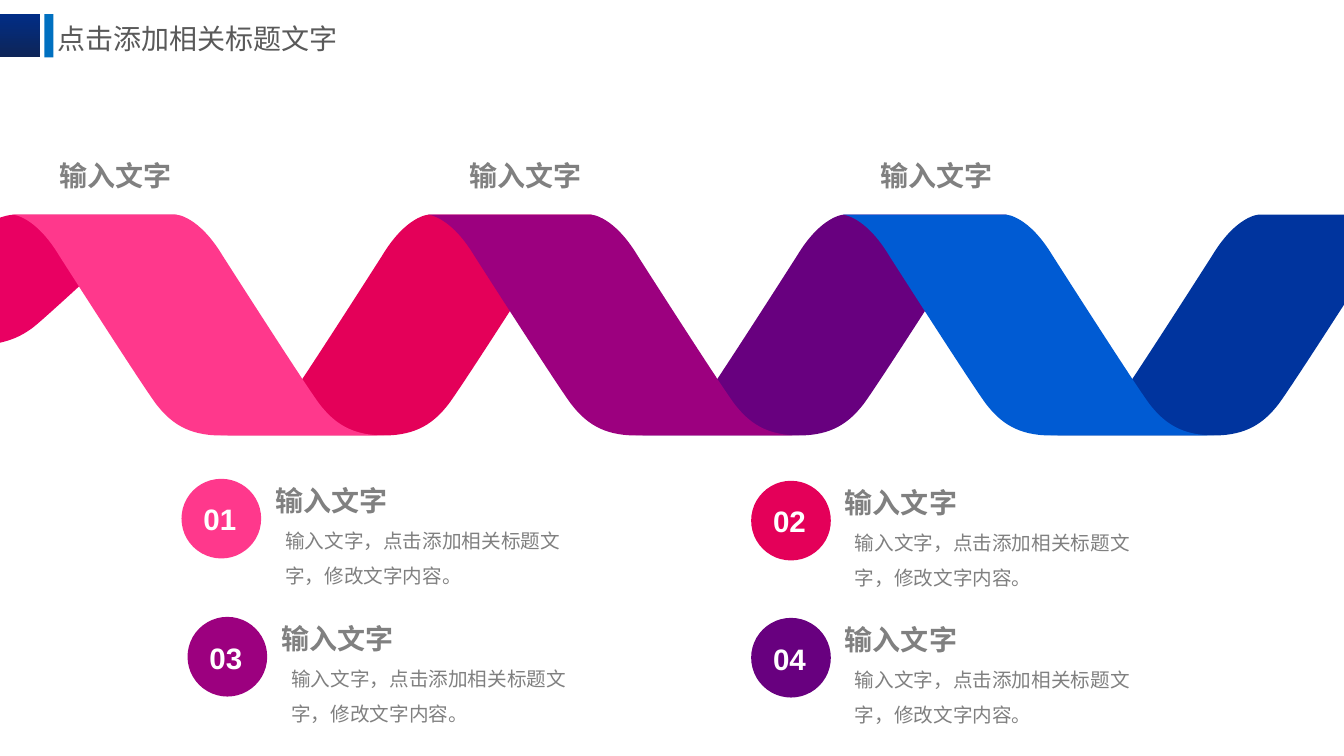
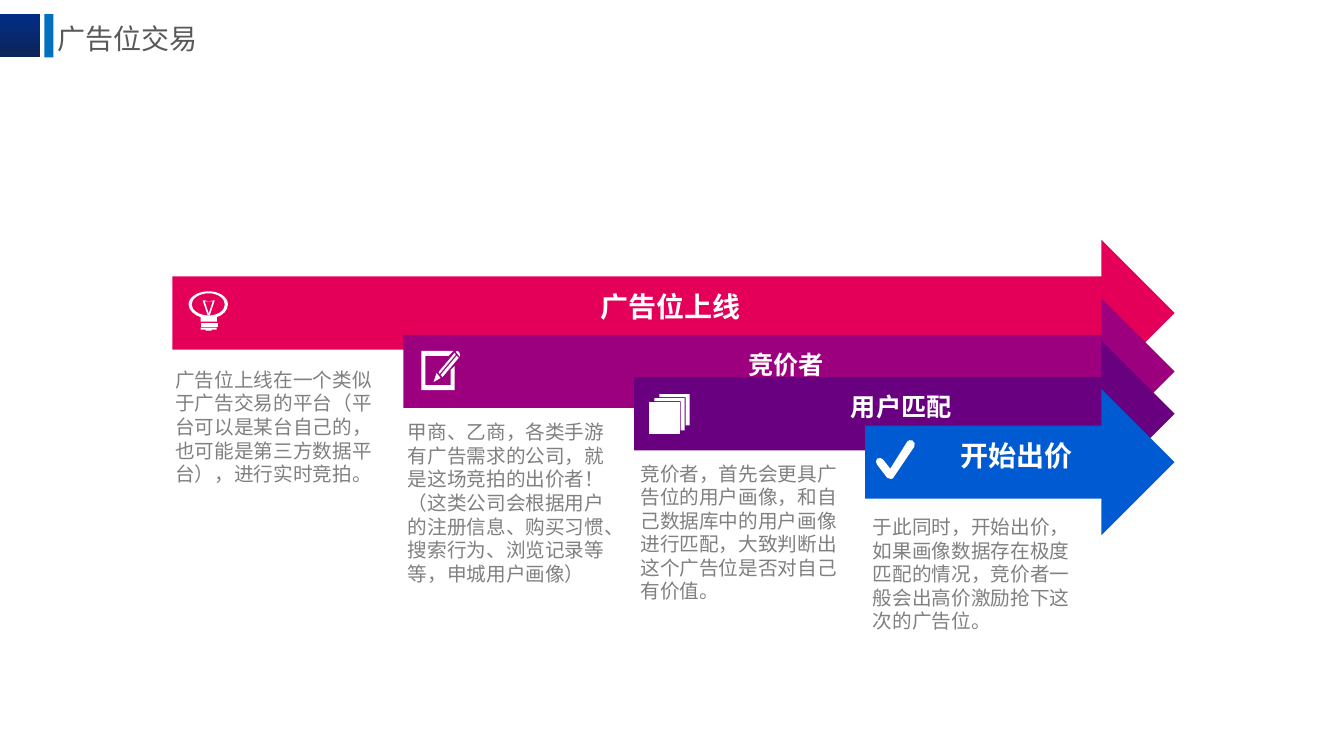
import pptx
import pptx.dml.color
import pptx.enum.shapes
import pptx.enum.text
import pptx.oxml.ns
import pptx.util
from pptx.dml.color import RGBColor
from pptx.oxml.ns import qn
from pptx.util import Inches

NAVY_TOP = RGBColor(0x01, 0x2D, 0x86)
NAVY_BOTTOM = RGBColor(0x0E, 0x25, 0x57)
ACCENT_BLUE = RGBColor(0x00, 0x70, 0xC0)
TITLE_GREY = RGBColor(0x59, 0x59, 0x59)
TEXT_GREY = RGBColor(0x80, 0x80, 0x80)
WHITE = RGBColor(0xFF, 0xFF, 0xFF)
PINK = RGBColor(0xFF, 0x38, 0x8C)
ROSE = RGBColor(0xE9, 0x00, 0x62)
CRIMSON = RGBColor(0xE4, 0x00, 0x59)
MAGENTA = RGBColor(0x9C, 0x00, 0x7F)
PURPLE = RGBColor(0x68, 0x00, 0x7F)
BLUE = RGBColor(0x00, 0x5B, 0xD3)
DEEP_BLUE = RGBColor(0x00, 0x34, 0x9E)

CJK_FONT = "Noto Sans CJK SC"
SHAPE = pptx.enum.shapes.MSO_SHAPE
ALIGN = pptx.enum.text.PP_ALIGN
ANCHOR = pptx.enum.text.MSO_ANCHOR
NO_FIT = pptx.enum.text.MSO_AUTO_SIZE.NONE

TITLE_FONT = {"name": CJK_FONT, "size": pptx.util.Pt(20), "bold": False}
HEADING_FONT = {"name": "Arial", "size": pptx.util.Pt(20), "bold": True}
SMALL_HEADING_FONT = {**HEADING_FONT, "size": pptx.util.Pt(18)}
NUMBER_FONT = {**HEADING_FONT, "size": pptx.util.Pt(21.1)}
BODY_FONT = {"name": CJK_FONT, "size": pptx.util.Pt(14), "bold": False}

HEADING_PARAGRAPH = {"alignment": ALIGN.JUSTIFY, "line_spacing": 1.2}
CENTRED_PARAGRAPH = {"alignment": ALIGN.CENTER, "line_spacing": 1.2}
NO_INSETS = (0, 0, 0, 0)
BODY_INSETS = (0.1, 0.05, 0.1, 0.05)

HEADING = "输入文字"
DESCRIPTION = "输入文字，点击添加相关标题文字，修改文字内容。"

BAND_WIDTH, BAND_HEIGHT, BAND_FACE = 3.68, 2.19, 1.62
BAND_PITCH = (10.42 - 0.13) / 5
BAND_EDGE = [
    (0, 0),
    (0, 0, 0.22, 0.01, 0.46, 0.41),
    (0.69, 0.77, 1.3, 1.72, 1.42, 1.88),
    (1.56, 2.06, 1.73, 2.19, 2.06, 2.19),
]
BAND_COLOURS = [ROSE, PINK, CRIMSON, MAGENTA, PURPLE, BLUE, DEEP_BLUE]
BAND_ORDER = [6, 4, 5, 2, 3, 0, 1]

CHECK_ICON = [[[
    (0.15, 0.39), (0.14, 0.39, 0.13, 0.39, 0.12, 0.38), (0.02, 0.25),
    (0, 0.23, 0.01, 0.21, 0.02, 0.19), (0.04, 0.18, 0.07, 0.18, 0.08, 0.2),
    (0.15, 0.29), (0.32, 0.02), (0.33, 0.01, 0.35, 0, 0.37, 0.01),
    (0.39, 0.02, 0.4, 0.05, 0.39, 0.07), (0.18, 0.38),
    (0.18, 0.39, 0.17, 0.39, 0.15, 0.39),
]]]
PAGES_ICON = [
    [[(0.05, 0.07), (0.31, 0.07), (0.31, 0.36), (0.35, 0.36), (0.35, 0.04), (0.05, 0.04)]],
    [[(0.1, 0), (0.1, 0.03), (0.36, 0.03), (0.36, 0.31), (0.4, 0.31), (0.4, 0)]],
    [[(0, 0.08), (0, 0.4), (0.3, 0.4), (0.3, 0.08)]],
]
PENCIL_ICON = [
    [[(0.19, 0.28), (0.15, 0.23), (0.12, 0.32)]],
    [[(0.33, 0.03), (0.17, 0.22), (0.18, 0.24), (0.34, 0.05)]],
    [[(0.19, 0.25), (0.21, 0.27), (0.37, 0.08), (0.35, 0.06)]],
    [[(0.37, 0.02), (0.36, 0, 0.34, 0.02, 0.34, 0.02), (0.38, 0.07),
      (0.38, 0.07, 0.39, 0.05, 0.37, 0.02)]],
    [[(0.29, 0.35), (0.04, 0.35), (0.04, 0.06), (0.27, 0.06), (0.32, 0.01),
      (0, 0.01), (0, 0.4), (0.33, 0.4), (0.33, 0.16), (0.29, 0.2)]],
]
BULB_ICON = [
    [[(0.39, 0.13), (0.39, 0.06, 0.31, 0, 0.2, 0), (0.09, 0, 0, 0.06, 0, 0.13),
      (0, 0.19, 0.06, 0.24, 0.13, 0.26), (0.12, 0.26), (0.12, 0.3), (0.28, 0.3),
      (0.28, 0.26), (0.27, 0.26), (0.34, 0.24, 0.39, 0.19, 0.39, 0.13)],
     [(0.2, 0.24), (0.11, 0.24, 0.03, 0.19, 0.03, 0.13),
      (0.03, 0.07, 0.11, 0.02, 0.2, 0.02), (0.29, 0.02, 0.36, 0.07, 0.36, 0.13),
      (0.36, 0.19, 0.29, 0.24, 0.2, 0.24)]],
    [[(0.12, 0.31), (0.29, 0.31), (0.29, 0.35), (0.12, 0.35)]],
    [[(0.12, 0.38), (0.17, 0.38), (0.17, 0.39), (0.23, 0.39), (0.23, 0.38),
      (0.28, 0.38), (0.28, 0.36), (0.12, 0.36)]],
    [[(0.25, 0.09), (0.2, 0.1), (0.16, 0.09), (0.14, 0.09), (0.19, 0.24),
      (0.21, 0.24), (0.26, 0.09)],
     [(0.2, 0.22), (0.16, 0.1), (0.2, 0.1), (0.24, 0.1)]],
]

STEPS = [
    (2.38, CRIMSON, "广告位上线", HEADING_FONT, BULB_ICON, (0.16, 0.51)),
    (2.96, MAGENTA, "竞价者", SMALL_HEADING_FONT, PENCIL_ICON, (0.18, 0.51)),
    (3.38, PURPLE, "用户匹配", SMALL_HEADING_FONT, PAGES_ICON, (0.15, 0.53)),
    (3.86, BLUE, "开始出价", HEADING_FONT, CHECK_ICON, (0.1, 0.5)),
]
NOTES = [
    (3.6, 2.18, 1.28,
     ["广告位上线在一个类似于广告交易的平台（平台可以是某台自己的，也可能是第三方数据平台），进行实时竞拍。"]),
    (4.12, 2.18, 1.75,
     ["甲商、乙商，各类手游有广告需求的公司，就是这场竞拍的出价者！",
      "（这类公司会根据用户的注册信息、购买习惯、搜索行为、浏览记录等等，申城用户画像）"]),
    (4.53, 2.18, 1.51,
     ["竞价者，首先会更具广告位的用户画像，和自己数据库中的用户画像进行匹配，大致判断出这个广告位是否对自己有价值。"]),
    (5.06, 2.24, 1.28,
     ["于此同时，开始出价，如果画像数据存在极度匹配的情况，竞价者一般会出高价激励抢下这次的广告位。"]),
]


def apply_format(target, values):
    """Set each named attribute of the target."""
    for name, value in values.items():
        setattr(target, name, value)


def write_text(shape, lines, font, colour, paragraph_format, insets, anchor=ANCHOR.TOP):
    """Fill a shape with formatted paragraphs."""
    left, top, right, bottom = map(Inches, insets)
    frame = shape.text_frame
    apply_format(frame, {
        "word_wrap": True, "auto_size": NO_FIT, "vertical_anchor": anchor,
        "margin_left": left, "margin_top": top,
        "margin_right": right, "margin_bottom": bottom,
    })
    for index, line in enumerate(lines):
        paragraph = frame.add_paragraph() if index else frame.paragraphs[0]
        apply_format(paragraph, paragraph_format)
        run = paragraph.add_run()
        run.text = line
        apply_format(run.font, font)
        run.font.color.rgb = colour
        latin = run.font._element.find(qn("a:latin"))
        latin.addnext(latin.makeelement(qn("a:ea"), {"typeface": CJK_FONT}))


def add_text(slide, box, lines, font, paragraph_format, insets):
    """Add a grey text box."""
    label = slide.shapes.add_textbox(*map(Inches, box))
    write_text(label, lines, font, TEXT_GREY, paragraph_format, insets)


def paint(shape, colour):
    """Give a shape a flat fill with no line or shadow."""
    shape.shadow.inherit = False
    shape.fill.solid()
    shape.fill.fore_color.rgb = colour
    shape.line.fill.background()
    return shape


def add_preset(slide, kind, box, colour):
    """Add a flat preset shape."""
    return paint(slide.shapes.add_shape(kind, *map(Inches, box)), colour)


def add_outline(shapes, left, top, contours, colour):
    """Add a filled outline of straight (x, y) and cubic six-number segments."""
    builder = None
    for contour in contours:
        corners = [(Inches(left + segment[i]), Inches(top + segment[i + 1]))
                   for segment in contour for i in range(0, len(segment), 2)]
        if builder:
            builder.move_to(*corners[0])
        else:
            builder = shapes.build_freeform(*corners[0], scale=1.0)
        builder.add_line_segments(corners[1:], close=True)
    outline = paint(builder.convert_to_shape(), colour)
    lines = iter(list(outline._element.iter(qn("a:lnTo"))))
    for segment in (part for contour in contours for part in contour[1:]):
        legs = [next(lines) for _ in range(len(segment) // 2)]
        if len(legs) == 3:
            curve = legs[0].makeelement(qn("a:cubicBezTo"))
            legs[0].addprevious(curve)
            for leg in legs:
                curve.append(leg[0])
                leg.getparent().remove(leg)


def add_titled_slide(deck, title):
    """Add a slide with the shared header bars and title."""
    slide = deck.slides.add_slide(deck.slide_layouts[5])
    block = add_preset(slide, SHAPE.RECTANGLE, (-0.01, 0.14, 0.41, 0.43), NAVY_TOP)
    block.fill.gradient()
    block.fill.gradient_angle = 270
    for stop, position, colour in zip(
            block.fill.gradient_stops, (0, 1), (NAVY_TOP, NAVY_BOTTOM)):
        stop.position = position
        stop.color.rgb = colour
    add_preset(slide, SHAPE.RECTANGLE, (0.44, 0.14, 0.09, 0.43), ACCENT_BLUE)
    heading = slide.shapes.title
    apply_format(heading, dict(zip(
        ("left", "top", "width", "height"), map(Inches, (0.47, 0.07, 3.26, 0.61)))))
    write_text(heading, [title], TITLE_FONT, TITLE_GREY,
               {"alignment": ALIGN.LEFT, "space_before": pptx.util.Pt(10.6)},
               BODY_INSETS, ANCHOR.MIDDLE)
    return slide


def add_band(slide, left, top, height, rising, colour):
    """Add one ribbon band, falling or mirrored to rise."""
    outline = BAND_EDGE + [(BAND_EDGE[-1][-2] + BAND_FACE, BAND_HEIGHT)]
    for before, curve in reversed(list(zip(BAND_EDGE, BAND_EDGE[1:]))):
        x1, y1, x2, y2 = curve[:4]
        x0, y0 = before[-2:]
        outline.append((x2 + BAND_FACE, y2, x1 + BAND_FACE, y1, x0 + BAND_FACE, y0))
    placed = [tuple(value * height / BAND_HEIGHT if i % 2
                    else BAND_WIDTH - value if rising else value
                    for i, value in enumerate(segment)) for segment in outline]
    add_outline(slide.shapes, left, top, [placed], colour)


def add_ribbon(slide, left, top):
    """Add the folded ribbon, its rising bands tucked behind falling ones."""
    for index in BAND_ORDER:
        add_band(slide, left + (index - 1) * BAND_PITCH, top,
                 BAND_HEIGHT if index else 1.3, index % 2 == 0, BAND_COLOURS[index])


def add_numbered_item(slide, left, top, number, colour):
    """Add a numbered disc with its heading and description."""
    add_text(slide, (left + 0.93, top - 0.02, 3, 0.4), [HEADING],
             HEADING_FONT, HEADING_PARAGRAPH, NO_INSETS)
    add_text(slide, (left + 0.93, top + 0.33, 3.01, 0.81), [DESCRIPTION],
             BODY_FONT, {"line_spacing": 1.5}, BODY_INSETS)
    disc = add_preset(slide, SHAPE.OVAL, (left, top, 0.79, 0.79), colour)
    write_text(disc, [f"{number:02}"], NUMBER_FONT, WHITE, CENTRED_PARAGRAPH,
               (0, 0, 0.03, 0.06), ANCHOR.MIDDLE)


def add_step(slide, left, right, top, colour, name, font, icon, icon_offset):
    """Add one block arrow with its name and white icon."""
    arrow = add_preset(slide, SHAPE.RIGHT_ARROW, (left, top, right - left, 1.45), colour)
    write_text(arrow, [name], font, WHITE, CENTRED_PARAGRAPH,
               (0.56, 0.03, 0.26, 0.23), ANCHOR.MIDDLE)
    canvas = slide.shapes.add_group_shape() if len(icon) > 1 else slide
    for contours in icon:
        add_outline(canvas.shapes, left + icon_offset[0], top + icon_offset[1],
                    contours, WHITE)


def build_ribbon_slide(deck):
    """Build the ribbon slide with four numbered items."""
    slide = add_titled_slide(deck, "点击添加相关标题文字")
    add_ribbon(slide, 0.13, 2.13)
    for column in range(3):
        add_text(slide, (0.59 + 4.07 * column, 1.51, 1.12, 0.4), [HEADING],
                 HEADING_FONT, HEADING_PARAGRAPH, NO_INSETS)
    places = [(1.8, 4.75), (7.45, 4.77), (1.86, 6.12), (7.45, 6.13)]
    colours = [PINK, CRIMSON, MAGENTA, PURPLE]
    for number, (place, colour) in enumerate(zip(places, colours), 1):
        add_numbered_item(slide, *place, number, colour)


def build_trading_slide(deck):
    """Build the slide of four overlapping arrows."""
    slide = add_titled_slide(deck, "广告位交易")
    note_pitch = (8.56 - 1.64) / 3
    for index, (top, width, height, lines) in enumerate(NOTES):
        add_text(slide, (1.64 + note_pitch * index, top, width, height), lines,
                 BODY_FONT, {"alignment": ALIGN.LEFT}, BODY_INSETS)
    for index, step in enumerate(STEPS):
        add_step(slide, 1.71 + 2.29 * index, 11.65, *step)


def main():
    """Build and save the deck."""
    deck = pptx.Presentation()
    deck.slide_width, deck.slide_height = Inches(13.33), Inches(7.5)
    build_ribbon_slide(deck)
    build_trading_slide(deck)
    deck.save("out.pptx")


if __name__ == "__main__":
    main()
